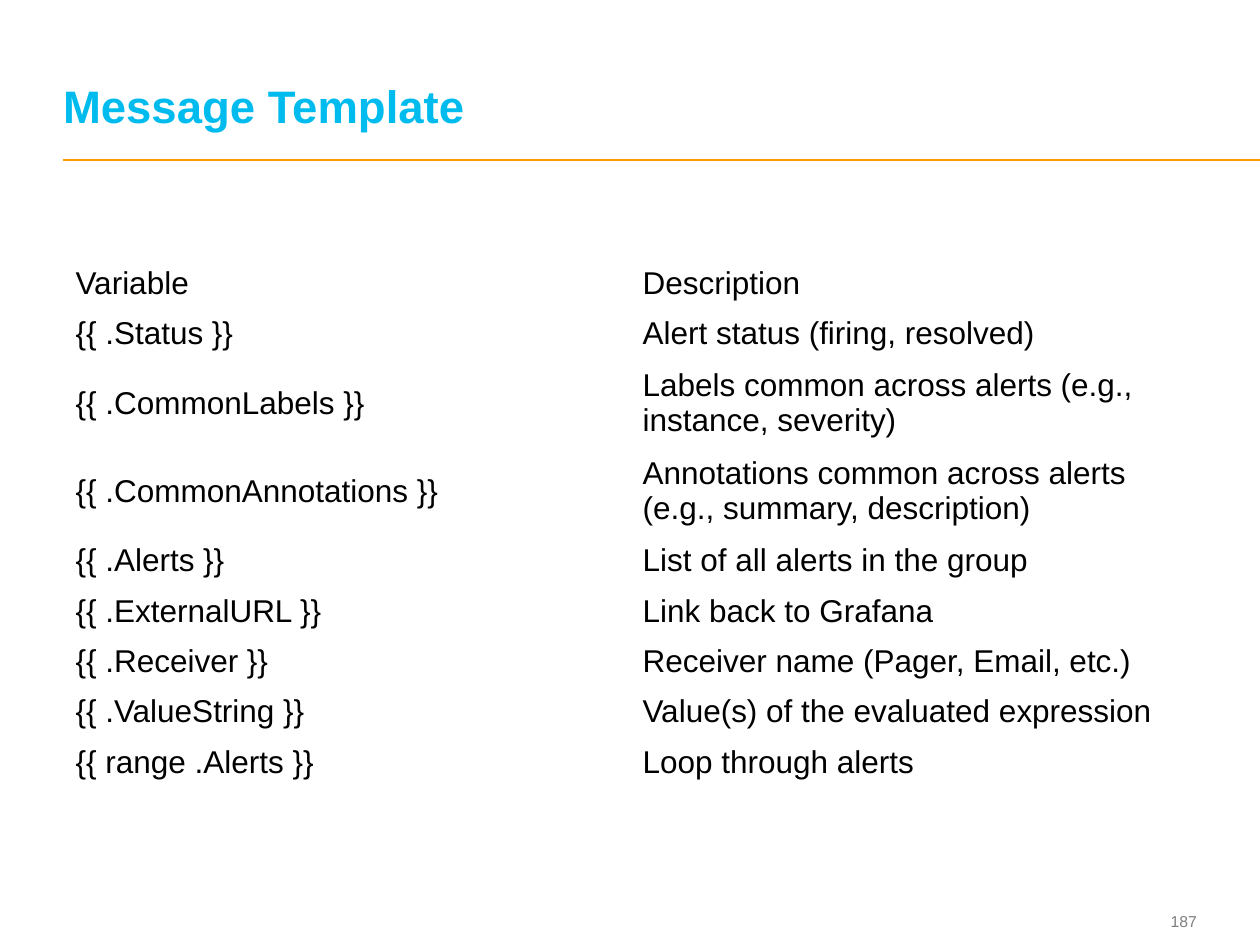
"""Build the Message Template slide with its table of alert variables."""
from dataclasses import dataclass

from lxml.etree import SubElement
from pptx import Presentation
from pptx.dml.color import RGBColor
from pptx.enum.shapes import MSO_CONNECTOR
from pptx.enum.text import MSO_ANCHOR, MSO_AUTO_SIZE, PP_ALIGN
from pptx.oxml.ns import qn
from pptx.util import Pt


@dataclass(frozen=True)
class Theme:
    font: str = "Arial"
    title_color: str = "00BBEE"
    rule_color: str = "FF9900"
    text_color: str = "000000"
    number_color: str = "7F7F7F"
    title_size: int = 26
    text_size: int = 18
    number_size: int = 9


VARIABLES = [
    ("Variable", "Description"),
    ("{{ .Status }}", "Alert status (firing, resolved)"),
    ("{{ .CommonLabels }}", "Labels common across alerts (e.g., instance, severity)"),
    ("{{ .CommonAnnotations }}", "Annotations common across alerts (e.g., summary, description)"),
    ("{{ .Alerts }}", "List of all alerts in the group"),
    ("{{ .ExternalURL }}", "Link back to Grafana"),
    ("{{ .Receiver }}", "Receiver name (Pager, Email, etc.)"),
    ("{{ .ValueString }}", "Value(s) of the evaluated expression"),
    ("{{ range .Alerts }}", "Loop through alerts"),
]
TALL_ROWS = (2, 3)


def apply_format(target, values):
    for name, value in values.items():
        setattr(target, name, value)


class SlideBuilder:
    def __init__(self, page, theme):
        self.page = page
        self.theme = theme

    def add_text(self, frame, text, size, color, bold=False, **paragraph_format):
        para = frame.paragraphs[0]
        apply_format(para, paragraph_format)
        span = para.add_run()
        span.text = text
        apply_format(span.font, {"name": self.theme.font, "size": Pt(size), "bold": bold})
        span.font.color.rgb = RGBColor.from_string(color)

    def place(self, box, left, top, width, height, anchor):
        apply_format(box, {"left": Pt(left), "top": Pt(top), "width": Pt(width), "height": Pt(height)})
        apply_format(box.text_frame, {
            "margin_left": 0, "margin_right": 0, "margin_top": 0, "margin_bottom": 0,
            "word_wrap": True, "auto_size": MSO_AUTO_SIZE.NONE, "vertical_anchor": anchor,
        })

    def title(self, text, left, top, width, height):
        box = self.page.shapes.title
        self.place(box, left, top, width, height, MSO_ANCHOR.BOTTOM)
        self.add_text(box.text_frame, text, self.theme.title_size, self.theme.title_color, bold=True,
                      alignment=PP_ALIGN.LEFT, line_spacing=Pt(self.theme.title_size))

    def number(self, text, left, top, width, height):
        box = self.page.shapes.add_textbox(0, 0, 0, 0)
        self.place(box, left, top, width, height, MSO_ANCHOR.MIDDLE)
        self.add_text(box.text_frame, text, self.theme.number_size, self.theme.number_color,
                      alignment=PP_ALIGN.RIGHT)

    def rule(self, left, right, top):
        rule = self.page.shapes.add_connector(
            MSO_CONNECTOR.STRAIGHT, Pt(left), Pt(top), Pt(right), Pt(top))
        rule.line.color.rgb = RGBColor.from_string(self.theme.rule_color)
        rule.line.width = Pt(1)
        SubElement(rule._element.spPr, qn("a:effectLst"))

    def table(self, rows, heights, left, top, width):
        table = self.page.shapes.add_table(
            len(rows), len(rows[0]), Pt(left), Pt(top), Pt(width), Pt(sum(heights))).table
        apply_format(table, {"first_row": False, "horz_banding": False})
        for row, height, texts in zip(table.rows, heights, rows):
            row.height = Pt(height)
            for cell, text in zip(row.cells, texts):
                cell.fill.background()
                cell.vertical_anchor = MSO_ANCHOR.MIDDLE
                self.add_text(cell.text_frame, text, self.theme.text_size, self.theme.text_color)


def main():
    deck = Presentation()
    apply_format(deck, {"slide_width": Pt(720), "slide_height": Pt(540)})
    page = deck.slides.add_slide(deck.slide_layouts[5])
    builder = SlideBuilder(page, Theme())
    builder.rule(36, 720, 91.44)
    builder.number("187", 641.5, 517, 42.5, 19.4)
    builder.title("Message Template", 36, 13.7, 645.8, 61.9)
    heights = [50.4 if index in TALL_ROWS else 28.8 for index in range(len(VARIABLES))]
    builder.table(VARIABLES, heights, 36, 147.6, 648)
    deck.save("out.pptx")


if __name__ == "__main__":
    main()
